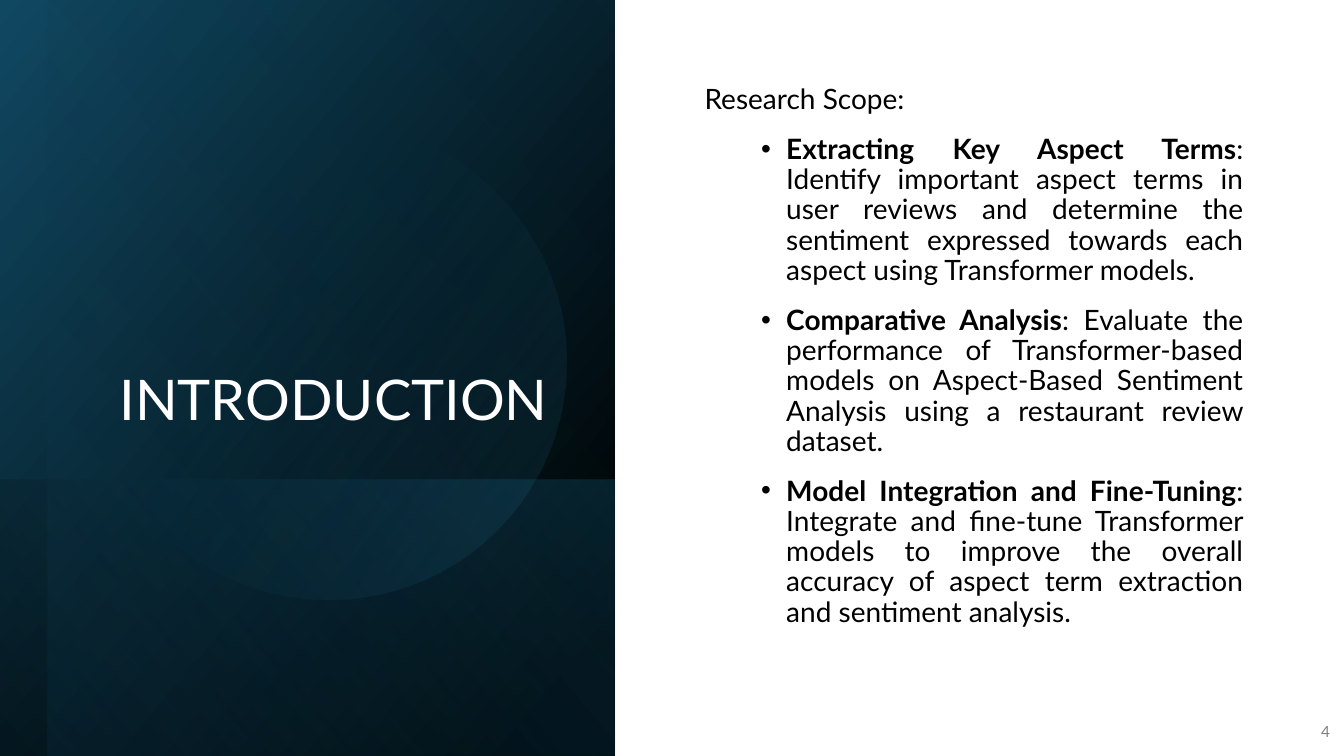
from lxml.etree import SubElement
from pptx import Presentation
from pptx.dml.color import RGBColor
from pptx.enum.shapes import MSO_SHAPE
from pptx.enum.text import MSO_ANCHOR, PP_ALIGN
from pptx.oxml.ns import qn
from pptx.util import Inches, Pt

BLACK = RGBColor(0x00, 0x00, 0x00)
WHITE = RGBColor(0xFF, 0xFF, 0xFF)
GRAY = RGBColor(0x80, 0x80, 0x80)
NAVY = RGBColor(0x10, 0x48, 0x62)
TEAL = RGBColor(0x15, 0x60, 0x82)
SKY = RGBColor(0x46, 0xB1, 0xE1)
FONT = "Lato"

TITLE = "INTRODUCTION"
HEADING = "Research Scope:"
SCOPE = [
    ("Extracting Key Aspect Terms",
     ": Identify important aspect terms in user reviews and determine the sentiment "
     "expressed towards each aspect using Transformer models."),
    ("Comparative Analysis",
     ": Evaluate the performance of Transformer-based models on Aspect-Based "
     "Sentiment Analysis using a restaurant review dataset."),
    ("Model Integration and Fine-Tuning",
     ": Integrate and fine-tune Transformer models to improve the overall accuracy "
     "of aspect term extraction and sentiment analysis."),
]
PAGE_NUMBER = "4"

# kind, box, rotation, flipped, gradient angle, stops as (position %, color, opacity %)
PANEL_LAYERS = [
    (MSO_SHAPE.RECTANGLE, (-0.7, 0.7, 7.5, 6.1), 90, True, 50,
     [(8, BLACK, 100), (100, NAVY, 100)]),
    (MSO_SHAPE.RECTANGLE, (1.67, 3.08, 2.74, 6.1), 90, True, 130,
     [(2, TEAL, 29), (100, BLACK, 30)]),
    (MSO_SHAPE.RECTANGLE, (-0.46, 0.93, 7.5, 5.63), 90, True, 130,
     [(0, BLACK, 0), (99, TEAL, 11)]),
    (MSO_SHAPE.OVAL, (0.9, 1.23, 4.72, 4.72), 101.6, False, 290,
     [(39, TEAL, 0), (100, SKY, 15)]),
]


def add_layer(slide, kind, box, rotation, flipped, angle, stops):
    shape = slide.shapes.add_shape(kind, *map(Inches, box))
    shape.shadow.inherit = False
    shape.line.fill.background()
    shape.rotation = rotation
    if flipped:
        shape._element.spPr.xfrm.set("flipH", "1")
    shape.fill.gradient()
    shape.fill.gradient_angle = 360 - angle
    for stop, (position, color, _) in zip(shape.fill.gradient_stops, stops):
        stop.position = position / 100
        stop.color.rgb = color
    colors = list(shape._element.spPr.iter(qn("a:srgbClr")))
    for element, (_, _, opacity) in zip(colors, stops):
        if opacity < 100:
            SubElement(element, qn("a:alpha")).set("val", str(opacity * 1000))


def add_text_frame(slide, box, anchor):
    frame = slide.shapes.add_textbox(*map(Inches, box)).text_frame
    frame.word_wrap = True
    frame.vertical_anchor = anchor
    return frame


def write(paragraph, runs, size, color, **formats):
    """Fill a paragraph with (text, bold) runs and apply its format values."""
    for name, value in formats.items():
        setattr(paragraph, name, value)
    for text, bold in runs:
        run = paragraph.add_run()
        run.text = text
        for name, value in {"name": FONT, "size": Pt(size), "bold": bold}.items():
            setattr(run.font, name, value)
        run.font.color.rgb = color


def add_bullet(paragraph):
    properties = paragraph._p.get_or_add_pPr()
    properties.set("lvl", "1")
    properties.set("marL", str(Inches(0.81)))
    properties.set("indent", str(Inches(-0.25)))
    SubElement(properties, qn("a:buFont")).set("typeface", "Arial")
    SubElement(properties, qn("a:buChar")).set("char", "•")


def main():
    presentation = Presentation()
    presentation.slide_width = Inches(13.33)
    presentation.slide_height = Inches(7.5)
    slide = presentation.slides.add_slide(presentation.slide_layouts[6])

    for layer in PANEL_LAYERS:
        add_layer(slide, *layer)

    title = add_text_frame(slide, (0.9, 0.64, 4.63, 3.7), MSO_ANCHOR.BOTTOM)
    write(title.paragraphs[0], [(TITLE, False)], 40, WHITE,
          alignment=PP_ALIGN.RIGHT, line_spacing=0.9, space_after=Pt(6))

    body = add_text_frame(slide, (6.89, 0.71, 5.54, 6.07), MSO_ANCHOR.MIDDLE)
    body.margin_bottom = Inches(0.46)
    body_format = {"alignment": PP_ALIGN.JUSTIFY, "line_spacing": 0.9, "space_after": Pt(8)}
    write(body.paragraphs[0], [(HEADING, False)], 20, BLACK, **body_format)
    for term, description in SCOPE:
        paragraph = body.add_paragraph()
        add_bullet(paragraph)
        write(paragraph, [(term, True), (description, False)], 20, BLACK,
              space_before=Pt(6), **body_format)

    number = add_text_frame(slide, (12.8, 7.06, 0.49, 0.4), MSO_ANCHOR.MIDDLE)
    write(number.paragraphs[0], [(PAGE_NUMBER, False)], 11, GRAY,
          alignment=PP_ALIGN.RIGHT, space_after=Pt(6))

    presentation.save("out.pptx")


if __name__ == "__main__":
    main()
